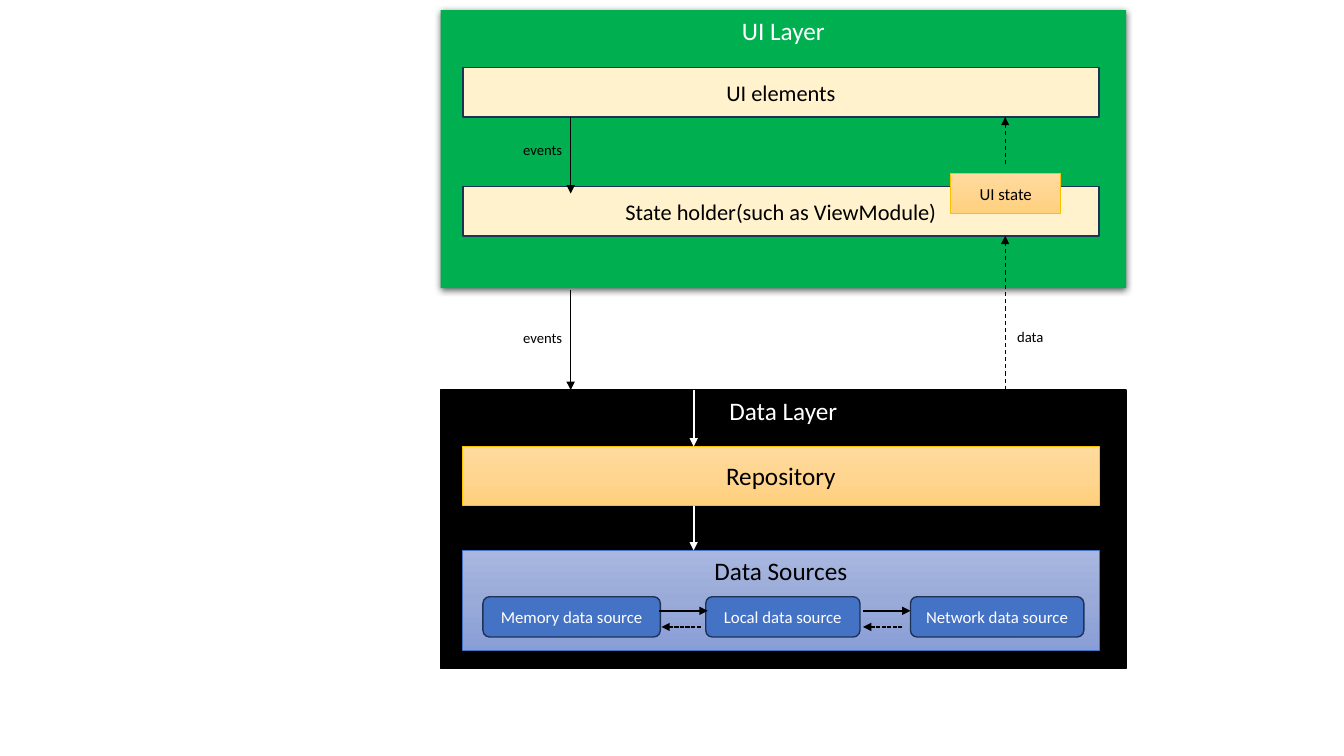
"""Build the app architecture slide: UI layer above data layer, joined by arrows."""
from copy import deepcopy
from lxml.etree import SubElement
from pptx import Presentation
from pptx.dml.color import RGBColor
from pptx.enum.dml import MSO_LINE
from pptx.enum.shapes import MSO_CONNECTOR, MSO_SHAPE
from pptx.enum.text import MSO_ANCHOR, MSO_AUTO_SIZE, PP_ALIGN
from pptx.oxml.ns import qn
from pptx.util import Inches, Pt

THEME = {
    "font": "Calibri",
    "black": "000000",
    "white": "FFFFFF",
    "title": 18,
    "bar": 16,
    "small": 12,
    "label": 10.5,
    "looks": {
        "ui": ("00B050", None, 0, "white"),
        "data": ("000000", "000000", 1, "white"),
        "cream": ("FFF2CC", "1E3256", 1, "black"),
        "gold": (("FFDB9E", "FFD590", "FFD07C"), "FFC000", 0.5, "black"),
        "blue": (("A8B7DF", "9AABD9", "889ED7"), "4472C4", 0.5, "black"),
        "source": ("4472C4", "1E3256", 1, "white"),
    },
}

LAYER_X, LAYER_W, LAYER_H = 4.37, 6.8, 2.76
BAR_X, BAR_W = 4.59, 6.31
UI_TOP, DATA_TOP = 0.1, 3.87
EVENT_X, STATE_X, REPO_X = 5.66, 9.97, 6.88
SOURCE_Y, SOURCE_H = 5.92, 0.4
ASK_Y, REPLY_Y = 6.06, 6.22

LAYERS = [("UI Layer", "ui", UI_TOP), ("Data Layer", "data", DATA_TOP)]
BARS = [
    ("UI elements", "cream", 0.67, 0.49, "bar", MSO_ANCHOR.MIDDLE),
    ("State holder(such as ViewModule)", "cream", 1.85, 0.49, "bar", MSO_ANCHOR.MIDDLE),
    ("Repository", "gold", 4.43, 0.58, "title", MSO_ANCHOR.MIDDLE),
    ("Data Sources", "blue", 5.46, 0.99, "title", MSO_ANCHOR.TOP),
]
SOURCES = [
    ("Memory data source", 4.79, 1.76),
    ("Local data source", 7, 1.53),
    ("Network data source", 9.03, 1.72),
]
LABELS = [("events", 5.09, 1.35), ("events", 5.09, 3.21), ("data", 9.99, 3.2)]
DOWN = [
    (EVENT_X, 1.16, 1.92, "black", 1, None),
    (EVENT_X, 2.88, DATA_TOP, "black", 1, None),
    (REPO_X, DATA_TOP, 4.43, "white", 1.5, None),
    (REPO_X, 5.02, 5.46, "white", 1.5, None),
]
UP = [
    (STATE_X, 1.63, 1.16, "black", 0.75, MSO_LINE.DASH),
    (STATE_X, DATA_TOP, 2.34, "black", 0.75, MSO_LINE.DASH),
]
ACROSS = [
    (6.54, 7.02, ASK_Y, None),
    (8.56, 9.03, ASK_Y, None),
    (6.95, 6.56, REPLY_Y, MSO_LINE.SQUARE_DOT),
    (8.95, 8.56, REPLY_Y, MSO_LINE.SQUARE_DOT),
]


def rgb(code):
    return RGBColor.from_string(code)


def write(frame, text, size, color, align):
    frame.word_wrap = True
    para = frame.paragraphs[0]
    para.alignment = align
    run = para.add_run()
    run.text = text
    run.font.name = THEME["font"]
    run.font.size = Pt(THEME[size])
    run.font.color.rgb = rgb(THEME[color])


def blend(shape, codes):
    shape.fill.gradient()
    shape.fill.gradient_angle = 270
    first = shape._element.spPr.find(".//" + qn("a:gs"))
    first.addnext(deepcopy(first))
    for i, (stop, code) in enumerate(zip(shape.fill.gradient_stops, codes)):
        stop.position = i / (len(codes) - 1)
        stop.color.rgb = rgb(code)


def box(slide, text, look, place, size, anchor=MSO_ANCHOR.MIDDLE, kind=MSO_SHAPE.RECTANGLE):
    fill, edge, width, color = THEME["looks"][look]
    shape = slide.shapes.add_shape(kind, *map(Inches, place))
    shape.shadow.inherit = False
    if isinstance(fill, tuple):
        blend(shape, fill)
    else:
        shape.fill.solid()
        shape.fill.fore_color.rgb = rgb(fill)
    if edge:
        shape.line.color.rgb = rgb(edge)
        shape.line.width = Pt(width)
    else:
        shape.line.fill.background()
    shape.text_frame.vertical_anchor = anchor
    write(shape.text_frame, text, size, color, PP_ALIGN.CENTER)
    return shape


def shade(shape):
    effects = shape._element.spPr.find(qn("a:effectLst"))
    outer = SubElement(effects, qn("a:outerShdw"), blurRad=str(Pt(4.5)),
                       dist=str(Pt(1.5)), dir="5400000", algn="ctr", rotWithShape="0")
    color = SubElement(outer, qn("a:srgbClr"), val=THEME["black"])
    SubElement(color, qn("a:alpha"), val="63000")


def label(slide, text, x, y):
    item = slide.shapes.add_textbox(*map(Inches, (x, y, 0.71, 0.28)))
    write(item.text_frame, text, "label", "black", PP_ALIGN.LEFT)
    item.text_frame.auto_size = MSO_AUTO_SIZE.SHAPE_TO_FIT_TEXT


def arrow(slide, start, end, color, width, dash):
    link = slide.shapes.add_connector(MSO_CONNECTOR.STRAIGHT, *map(Inches, start + end))
    link.line.color.rgb = rgb(THEME[color])
    link.line.width = Pt(width)
    if dash:
        link.line.dash_style = dash
    props = link._element.spPr
    SubElement(props.find(qn("a:ln")), qn("a:tailEnd"), type="triangle")
    SubElement(props, qn("a:effectLst"))


def main():
    deck = Presentation()
    deck.slide_width, deck.slide_height = Inches(13.33), Inches(7.5)
    slide = deck.slides.add_slide(deck.slide_layouts[6])
    for text, look, y in LAYERS:
        layer = box(slide, text, look, (LAYER_X, y, LAYER_W, LAYER_H), "title", MSO_ANCHOR.TOP)
        if look == "ui":
            shade(layer)
    for text, look, y, high, size, anchor in BARS:
        box(slide, text, look, (BAR_X, y, BAR_W, high), size, anchor)
    box(slide, "UI state", "gold", (9.43, 1.72, 1.09, 0.4), "small")
    for text, x, wide in SOURCES:
        box(slide, text, "source", (x, SOURCE_Y, wide, SOURCE_H), "small",
            kind=MSO_SHAPE.ROUNDED_RECTANGLE)
    for item in LABELS:
        label(slide, *item)
    for x, top, end, color, width, dash in DOWN + UP:
        arrow(slide, (x, top), (x, end), color, width, dash)
    for left, end, y, dash in ACROSS:
        arrow(slide, (left, y), (end, y), "black", 1, dash)
    deck.save("out.pptx")


if __name__ == "__main__":
    main()
